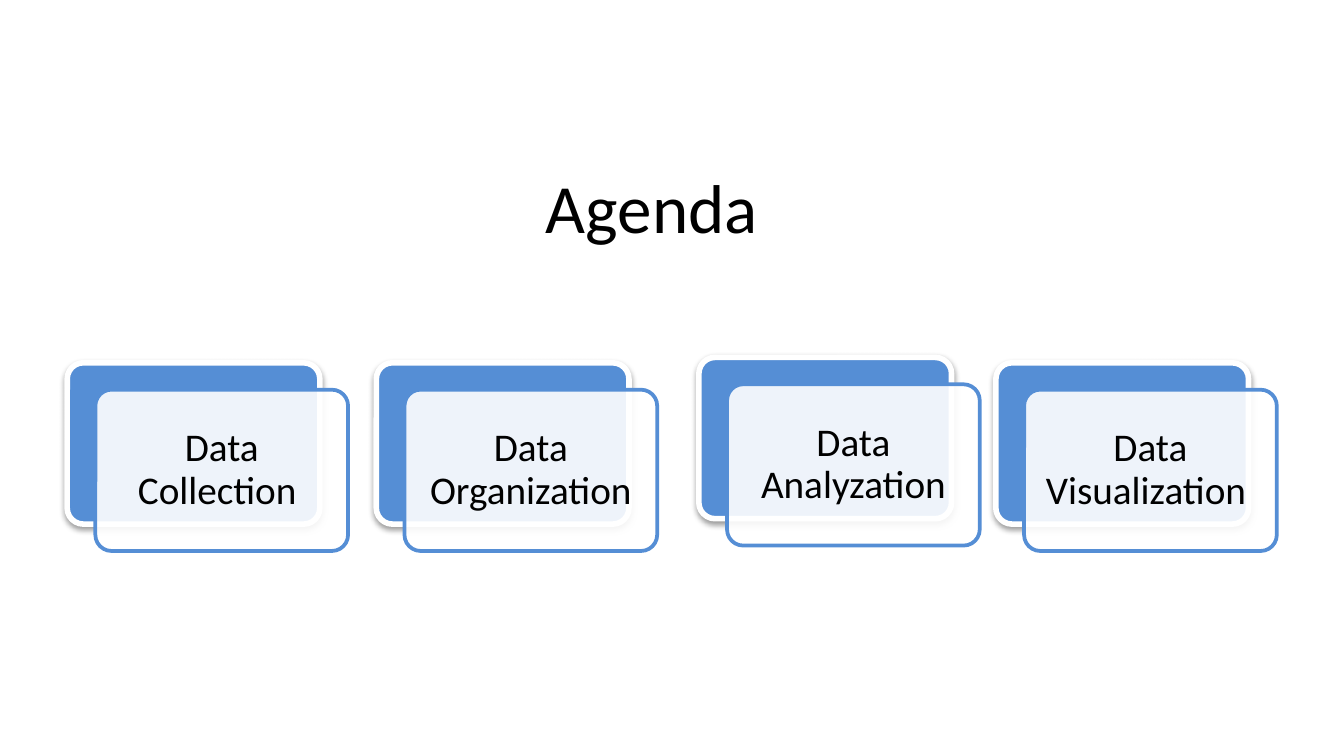
from lxml import etree
from pptx import Presentation
from pptx.dml.color import RGBColor
from pptx.enum.shapes import MSO_SHAPE
from pptx.enum.text import MSO_ANCHOR, MSO_AUTO_SIZE, PP_ALIGN
from pptx.oxml.ns import qn
from pptx.util import Inches, Pt

ROUNDED = MSO_SHAPE.ROUNDED_RECTANGLE
MIDDLE = MSO_ANCHOR.MIDDLE
CENTER = PP_ALIGN.CENTER
NO_FIT = MSO_AUTO_SIZE.NONE
TITLE_ONLY = 5

FONT = "Calibri"
BLACK, WHITE, BLUE = "000000", "FFFFFF", "558ED5"
SLIDE_W = 10
SLIDE_H = SLIDE_W * 9 / 16
CARD_W, CARD_H = 1.88, 1.2
OFFSET_X, OFFSET_Y = 0.21, 0.2
INSET = 0.04
LEFT, TOP, PITCH = 0.5, 2.7, 2.3
STEPS = [
    ("Data Collection ", 0, 0),
    ("Data Organization", 0, 0),
    ("Data Analyzation", 0.1, -0.04),
    ("Data Visualization ", 0.01, 0),
]


def color(hex_code):
    """Return the colour for a hex string."""
    return RGBColor.from_string(hex_code)


def write_text(sp, text, size, inset):
    """Write one centred run into a shape."""
    tf = sp.text_frame
    tf.word_wrap = True
    tf.auto_size = NO_FIT
    tf.vertical_anchor = MIDDLE
    tf.margin_left = tf.margin_right = Inches(inset)
    tf.margin_top = tf.margin_bottom = Inches(inset)
    p = tf.paragraphs[0]
    p.alignment = CENTER
    p.line_spacing = 0.9
    r = p.add_run()
    r.text = text
    r.font.name = FONT
    r.font.size = Pt(size)
    r.font.color.rgb = color(BLACK)


def add_panel(group, x, y, fill, line, width):
    """Add a rounded panel without a shadow."""
    sp = group.shapes.add_shape(
        ROUNDED, Inches(x), Inches(y), Inches(CARD_W), Inches(CARD_H))
    sp.adjustments[0] = 0.1
    sp.shadow.inherit = False
    sp.fill.solid()
    sp.fill.fore_color.rgb = color(fill)
    sp.line.color.rgb = color(line)
    sp.line.width = Pt(width)
    return sp


def set_alpha(parent, percent):
    """Set the opacity of the first RGB colour below an element."""
    rgb = next(parent.iter(qn("a:srgbClr")))
    etree.SubElement(rgb, qn("a:alpha"), val=str(percent * 1000))


def add_shadow(sp):
    """Give a shape a soft shadow straight below it."""
    effects = sp._element.spPr.find(qn("a:effectLst"))
    shadow = etree.SubElement(
        effects, qn("a:outerShdw"), blurRad=str(Pt(3.1)), dist=str(Pt(1.6)),
        dir="5400000", rotWithShape="0")
    etree.SubElement(shadow, qn("a:srgbClr"), val=BLACK)
    set_alpha(shadow, 38)


def add_card(s, x, y, text):
    """Add a blue panel with a translucent labelled panel over it."""
    group = s.shapes.add_group_shape()
    add_shadow(add_panel(group, x, y, BLUE, WHITE, 3))
    x, y = x + OFFSET_X, y + OFFSET_Y
    front = add_panel(group, x, y, WHITE, BLUE, 2)
    set_alpha(front._element.spPr.find(qn("a:solidFill")), 90)
    label = group.shapes.add_textbox(
        Inches(x + INSET), Inches(y + INSET),
        Inches(CARD_W - 2 * INSET), Inches(CARD_H - 2 * INSET))
    write_text(label, text, 21, 0.09)


def add_title(s, text):
    """Place and fill the title placeholder."""
    title = s.shapes.title
    title.left, title.top = Inches(0.35), Inches(1.22)
    title.width, title.height = Inches(9), Inches(0.7)
    write_text(title, text, 37, 0.05)


def main():
    """Build the agenda slide."""
    prs = Presentation()
    prs.slide_width, prs.slide_height = Inches(SLIDE_W), Inches(SLIDE_H)
    s = prs.slides.add_slide(prs.slide_layouts[TITLE_ONLY])
    add_title(s, "Agenda")
    for i, (text, dx, dy) in enumerate(STEPS):
        add_card(s, LEFT + i * PITCH + dx, TOP + dy, text)
    prs.save("out.pptx")


if __name__ == "__main__":
    main()
